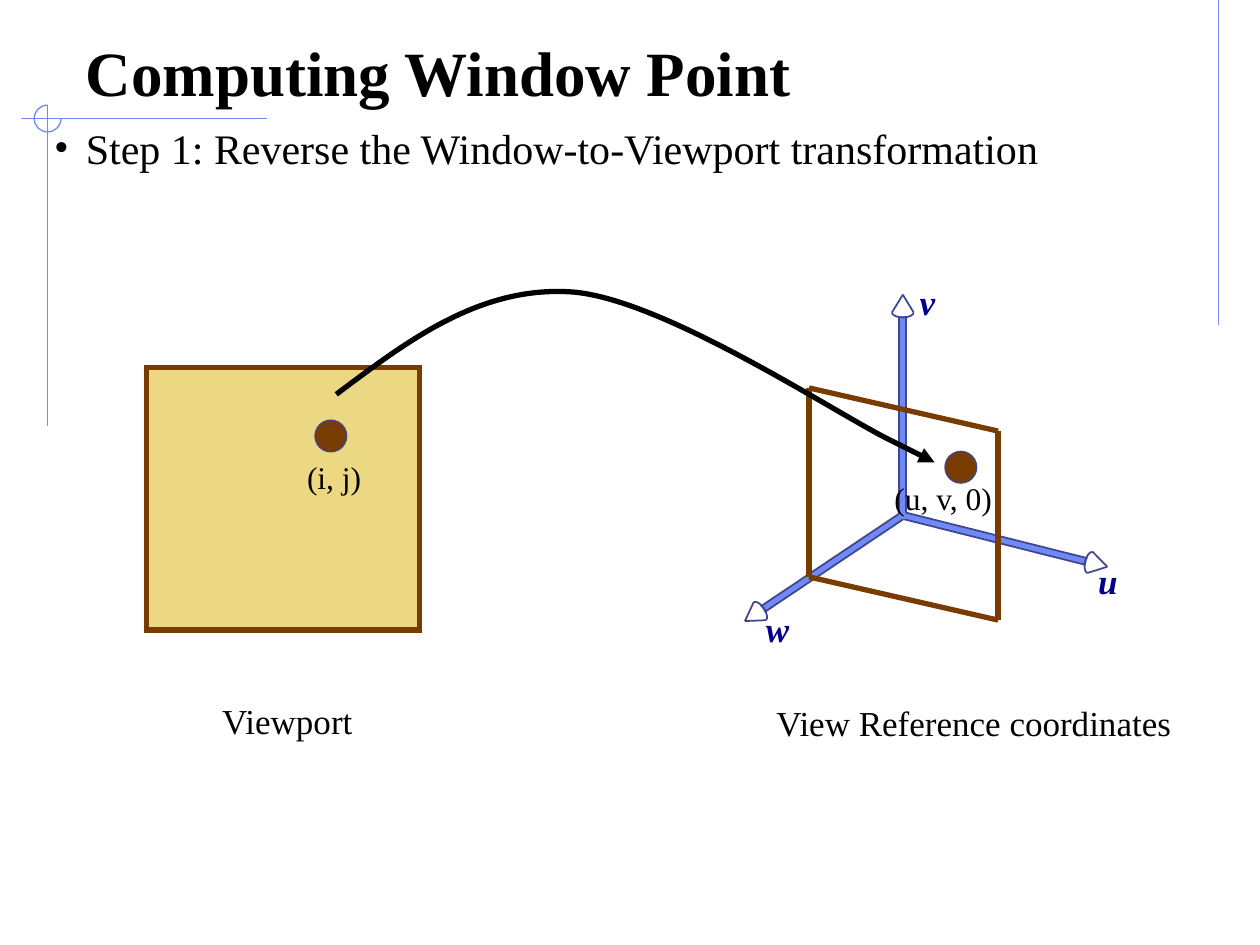
import math

import lxml.etree
import pptx
import pptx.dml.color
import pptx.enum.shapes
import pptx.enum.text
import pptx.oxml.ns
import pptx.util

Cm, Pt = pptx.util.Cm, pptx.util.Pt
qn = pptx.oxml.ns.qn
KIND = pptx.enum.shapes.MSO_SHAPE
ANCHOR = pptx.enum.text.MSO_ANCHOR
FIT = pptx.enum.text.MSO_AUTO_SIZE

INK = {"black": "000000", "label": "050000", "axis": "00008C", "bar": "6F89F7",
       "edge": "40458C", "brown": "783C00", "sand": "ECD882"}
FACE = "Times New Roman"
HEAD = {"size": Pt(36), "bold": True}
BODY = {"size": Pt(24)}
NAME = {"size": Pt(20)}
POINT = {"size": Pt(18)}
AXIS = {"size": Pt(20), "bold": True, "italic": True}


def rgb(name):
    return pptx.dml.color.RGBColor.from_string(INK[name])


def stroke(line, ink, width):
    line.color.rgb = rgb(ink)
    line.width = Pt(width)


def add_line(slide, start, end, ink, width, arrow=False):
    ends = [Cm(value) for value in (*start, *end)]
    line = slide.shapes.add_connector(pptx.enum.shapes.MSO_CONNECTOR.STRAIGHT, *ends)
    stroke(line.line, ink, width)
    props = line._element.spPr
    if arrow:
        lxml.etree.SubElement(props.find(qn("a:ln")), qn("a:tailEnd"), type="triangle")
    lxml.etree.SubElement(props, qn("a:effectLst"))


def add_curve(slide, points, ink, width, turn=0):
    """Draw an open cubic curve: a start, then two handles and an end per bend."""
    first, *rest = [(Cm(x), Cm(y)) for x, y in points]
    maker = slide.shapes.build_freeform(*first, scale=1.0)
    maker.add_line_segments(rest, close=False)
    curve = maker.convert_to_shape()
    legs = list(curve._element.iter(qn("a:lnTo")))
    for i in range(0, len(legs), 3):
        bend, *more = legs[i:i + 3]
        bend.tag = qn("a:cubicBezTo")
        for leg in more:
            bend.append(leg[0])
            leg.getparent().remove(leg)
    curve.rotation = turn
    curve.shadow.inherit = False
    curve.fill.background()
    stroke(curve.line, ink, width)


def add_solid(slide, kind, box, fill, ink=None, width=0, turn=0):
    shape = slide.shapes.add_shape(kind, *[Cm(value) for value in box])
    shape.shadow.inherit = False
    shape.rotation = turn
    shape.fill.solid()
    shape.fill.fore_color.rgb = rgb(fill)
    if ink:
        stroke(shape.line, ink, width)
        edge = shape._element.spPr.find(qn("a:ln"))
        lxml.etree.SubElement(edge, qn("a:miter"), lim="800000")
    else:
        shape.line.fill.background()


def add_bullet(para):
    props = para._p.get_or_add_pPr()
    props.set("marL", str(Cm(0.64)))
    props.set("indent", str(-Cm(0.64)))
    lxml.etree.SubElement(props, qn("a:buFont"), typeface=FACE)
    lxml.etree.SubElement(props, qn("a:buChar"), char="•")


def add_text(slide, words, box, form, ink="label", wrap=False,
             anchor=ANCHOR.TOP, bullet=False):
    frame = slide.shapes.add_textbox(*[Cm(value) for value in box]).text_frame
    frame.word_wrap = wrap
    frame.auto_size = FIT.NONE if wrap else FIT.SHAPE_TO_FIT_TEXT
    frame.vertical_anchor = anchor
    para = frame.paragraphs[0]
    if bullet:
        add_bullet(para)
    run = para.add_run()
    run.text = words
    for font in (para.font, run.font):
        for key, value in {"name": FACE, **form}.items():
            setattr(font, key, value)
    run.font.color.rgb = rgb(ink)


def add_axis(slide, root, turn, reach):
    """Draw a barred axis with a domed head, pointing at the given angle."""
    cos, sin = math.cos(math.radians(turn)), math.sin(math.radians(turn))

    def place(along, side):
        return root[0] + along * cos - side * sin, root[1] + along * sin + side * cos

    size, thick = reach - 0.43, 0.15
    x, y = place(size / 2, 0)
    box = (x - size / 2, y - thick / 2, size, thick)
    add_solid(slide, KIND.RECTANGLE, box, "bar", turn=turn)
    x, y = place(reach - 0.41, 0)
    dome = [(0.05, 0.22), (0, 0.22), (-0.05, 0.12), (-0.05, 0),
            (-0.05, -0.12), (0, -0.22), (0.05, -0.22)]
    add_curve(slide, [(x + dx, y + dy) for dx, dy in dome], "edge", 1, turn)
    for side in (-1, 1):
        add_line(slide, place(reach - 0.36, side * 0.22), place(reach, 0), "edge", 1)
        add_line(slide, place(0, side * 0.07), place(size, side * 0.07), "edge", 1)


def add_trim(slide):
    for start, end in [((24.56, 0), (24.56, 6.55)),
                       ((5.38, 2.39), (0.43, 2.39)),
                       ((0.96, 2.12), (0.96, 8.59))]:
        add_line(slide, start, end, "bar", 0.75)
    hook = [(0.96, 2.12), (0.81, 2.12), (0.69, 2.24), (0.69, 2.39), (0.69, 2.54),
            (0.81, 2.66), (0.96, 2.66), (1.11, 2.66), (1.23, 2.54), (1.23, 2.39)]
    add_curve(slide, hook, "bar", 0.75)


def add_window(slide):
    left, right, drop = 16.31, 20.12, 3.81
    high, low = 7.82, 8.69
    for start, end in [((left, high), (left, high + drop)),
                       ((right, low), (right, low + drop)),
                       ((left, high), (right, low)),
                       ((left, high + drop), (right, low + drop))]:
        add_line(slide, start, end, "brown", 3)


def add_dot(slide, x, y):
    add_solid(slide, KIND.OVAL, (x, y, 0.64, 0.64), "brown", "edge", 0.75)


def main():
    deck = pptx.Presentation()
    deck.slide_width, deck.slide_height = Cm(25.4), Cm(19.05)
    slide = deck.slides.add_slide(deck.slide_layouts[6])

    add_trim(slide)
    add_text(slide, "Step 1: Reverse the Window-to-Viewport transformation",
             (0.84, 2.34, 23.29, 2.11), BODY, "black", wrap=True, bullet=True)
    add_text(slide, "Computing Window Point", (1.48, 0.63, 22.43, 1.7),
             HEAD, "black", wrap=True, anchor=ANCHOR.BOTTOM)

    root = (18.2, 10.39)
    for turn, reach in [(146.2, 3.83), (14.1, 4.25), (270, 4.45)]:
        add_axis(slide, root, turn, reach)
    add_solid(slide, KIND.OVAL, (root[0] - 0.08, root[1] - 0.08, 0.16, 0.16), "bar")
    for words, box in [("u", (21.89, 11.15, 0.89, 1.12)),
                       ("v", (18.29, 5.54, 0.81, 1.12)),
                       ("w", (15.19, 12.12, 0.97, 1.12))]:
        add_text(slide, words, box, AXIS, "axis")
    add_text(slide, "View Reference coordinates", (15.4, 14.02, 8.51, 1.12), NAME)

    add_window(slide)
    add_solid(slide, KIND.RECTANGLE, (2.96, 7.41, 5.5, 5.29), "sand", "brown", 3)
    add_text(slide, "(i, j)", (5.94, 9.1, 1.75, 1.02), POINT)
    add_dot(slide, 6.35, 8.47)
    add_text(slide, "(u, v, 0)", (17.78, 9.53, 2.67, 1.02), POINT)
    add_dot(slide, 19.05, 9.1)

    foot = (17.98, 8.89)
    flight = [(6.78, 7.95), (8.23, 6.86), (9.7, 5.74), (11.58, 5.89),
              (13.46, 6.07), (16.92, 8.38), foot]
    add_curve(slide, flight, "black", 3)
    add_line(slide, foot, (18.84, 9.32), "black", 3, arrow=True)
    add_text(slide, "Viewport", (4.23, 13.97, 3.18, 1.12), NAME)
    deck.save("out.pptx")


if __name__ == "__main__":
    main()
